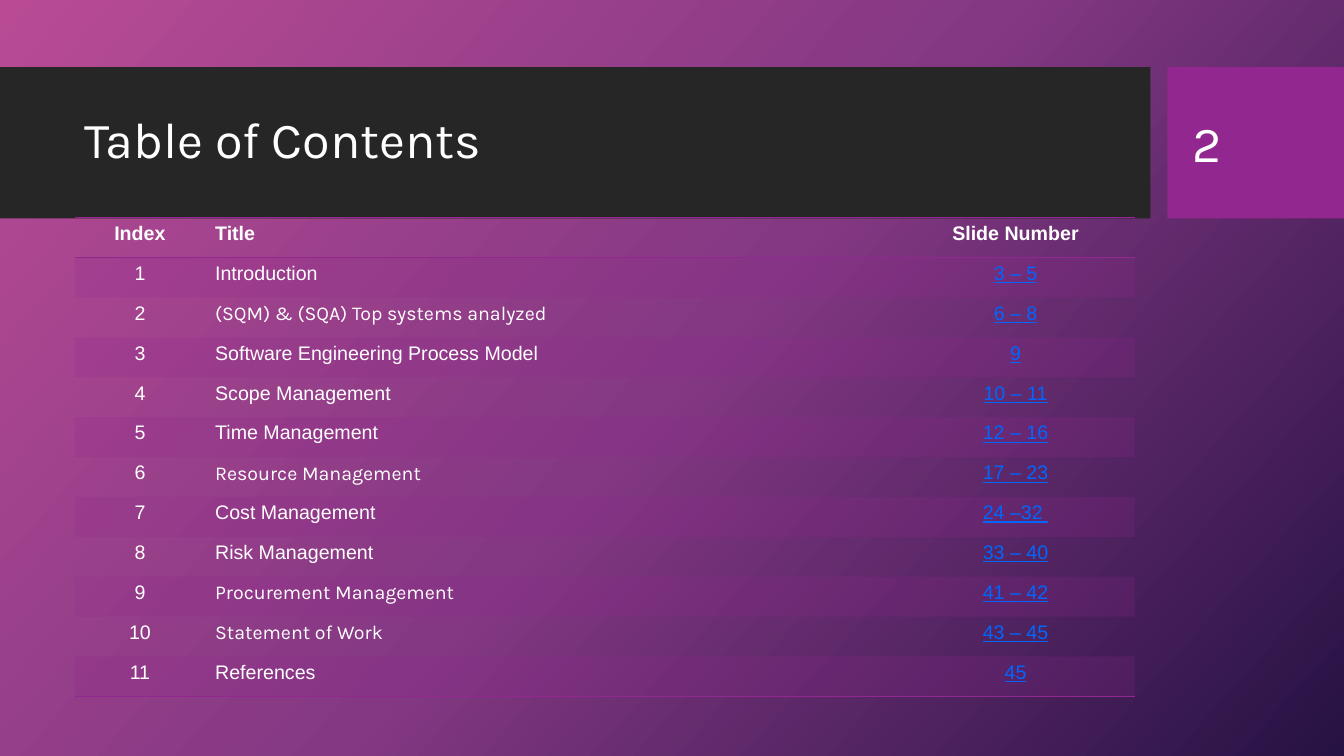
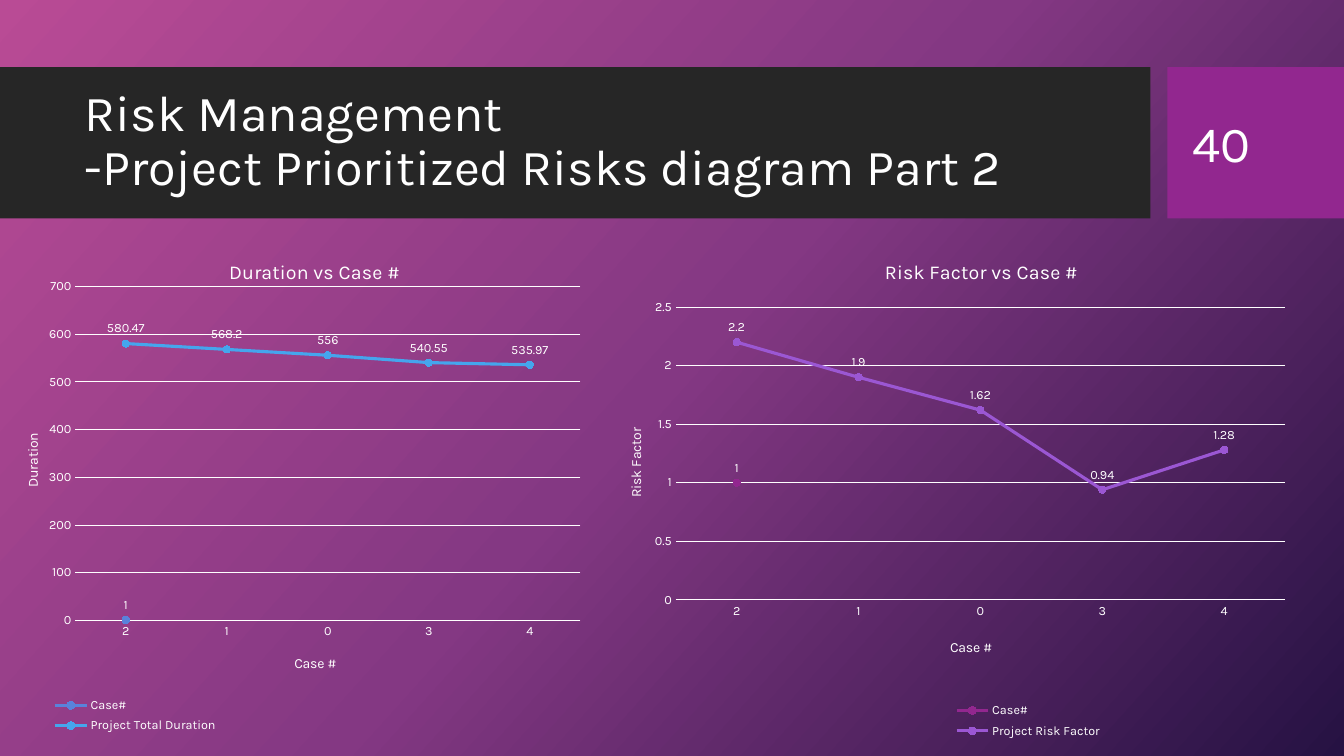
from copy import deepcopy

from lxml import etree
from pptx import Presentation
from pptx.chart import data
from pptx.dml import color
from pptx.enum import chart as ch, shapes, text
from pptx.oxml import ns
from pptx.util import Pt

WHITE, DARK, PLUM, BLUE = "FFFFFF", "262626", "92278F", "0066FF"
FONT, PLAIN = "Karla", "Arial"


def rgb(code):
    return color.RGBColor.from_string(code)


def place(node, **spots):
    old = node.find(ns.qn("c:layout"))
    if old is not None:
        node.remove(old)
    frame = etree.Element(ns.qn("c:layout"))
    hand = etree.SubElement(frame, ns.qn("c:manualLayout"))
    if "w" in spots and node.tag == ns.qn("c:plotArea"):
        etree.SubElement(hand, ns.qn("c:layoutTarget"), val="inner")
    for key in ("x", "y"):
        etree.SubElement(hand, ns.qn(f"c:{key}Mode"), val="edge")
    for key, val in spots.items():
        etree.SubElement(hand, ns.qn(f"c:{key}"), val=str(val))
    over = node.find(ns.qn("c:overlay"))
    (node[0] if over is None else over).addprevious(frame)


prs = Presentation()
prs.slide_width, prs.slide_height = Pt(960), Pt(540)

master = prs.slide_master
back = master.background.fill
back.gradient()
back.gradient_angle = 318
stops = master.element.find(".//" + ns.qn("a:gsLst"))
stops.insert(1, deepcopy(stops[0]))
shades = [(0, "B94B95"), (0.5, "843883"), (1, "261243")]
for stop, (pos, code) in zip(back.gradient_stops, shades):
    stop.position = pos
    stop.color.rgb = rgb(code)

pages = []
for title, number in [
    ("Table of Contents", "2"),
    ("Risk Management\v-Project Prioritized Risks diagram Part 2", "40"),
]:
    page = prs.slides.add_slide(prs.slide_layouts[6])
    pages.append(page)
    for left, width, code in [(0, 821.8, DARK), (833.8, 126.2, PLUM)]:
        band = page.shapes.add_shape(
            shapes.MSO_SHAPE.RECTANGLE, Pt(left), Pt(48), Pt(width), Pt(108))
        band.shadow.inherit = False
        band.fill.solid()
        band.fill.fore_color.rgb = rgb(code)
        band.line.fill.background()
    for words, left, width, space in [
        (title, 53.5, 756.5, 0.9),
        (number, 844.5, 91, 1),
    ]:
        box = page.shapes.add_textbox(Pt(left), Pt(59), Pt(width), Pt(85.5))
        frame = box.text_frame
        frame.word_wrap = True
        frame.vertical_anchor = text.MSO_ANCHOR.MIDDLE
        para = frame.paragraphs[0]
        para.text = words
        para.line_spacing = space
        para.font.size = Pt(36)
        para.font.name = FONT
        para.font.color.rgb = rgb(WHITE)

rows = [
    ("Index", "Title", "Slide Number"),
    ("1", "Introduction", "3 – 5"),
    ("2", "(SQM) & (SQA) Top systems analyzed", "6 – 8"),
    ("3", "Software Engineering Process Model", "9"),
    ("4", "Scope Management", "10 – 11"),
    ("5", "Time Management", "12 – 16"),
    ("6", "Resource Management", "17 – 23"),
    ("7", "Cost Management", "24 –32 "),
    ("8", "Risk Management", "33 – 40"),
    ("9", "Procurement Management", "41 – 42"),
    ("10", "Statement of Work", "43 – 45"),
    ("11", "References", "45"),
]
last = len(rows) - 1
table = pages[0].shapes.add_table(
    len(rows), 3, Pt(53.5), Pt(155.5), Pt(757), Pt(28.5 * len(rows))).table
table.first_row = table.horz_banding = False
style = table._tbl.tblPr.find(ns.qn("a:tableStyleId"))
style.text = "{2D5ABB26-0587-4C30-8999-92F81FD0307C}"
for col, width in zip(table.columns, (93, 494, 170)):
    col.width = Pt(width)
for r, row in enumerate(rows):
    table.rows[r].height = Pt(28.5)
    for c, words in enumerate(row):
        cell = table.cell(r, c)
        para = cell.text_frame.paragraphs[0]
        para.text = words
        link = r > 0 and c == 2
        para.font.size = Pt(14)
        para.font.bold = r == 0
        para.font.name = FONT if c == 1 and r in (2, 6, 9, 10) else PLAIN
        para.font.color.rgb = rgb(BLUE if link else WHITE)
        para.font.underline = link
        if c != 1:
            para.alignment = text.PP_ALIGN.CENTER
        props = cell._tc.get_or_add_tcPr()
        if r % 2:
            cell.fill.solid()
            cell.fill.fore_color.rgb = rgb(PLUM)
            tint = props.find(".//" + ns.qn("a:srgbClr"))
            etree.SubElement(tint, ns.qn("a:alpha"), val="20000")
        else:
            cell.fill.background()
        for side in {0: ("lnB", "lnT"), last: ("lnB",)}.get(r, ()):
            edge = etree.Element(ns.qn(f"a:{side}"), w="12700")
            solid = etree.SubElement(edge, ns.qn("a:solidFill"))
            etree.SubElement(solid, ns.qn("a:srgbClr"), val=PLUM)
            props.insert(0, edge)

charts = [
    dict(left=435.5, width=524.5, name="Risk Factor", top=2.5, step=0.5,
         series=[("Case#", PLUM, [1]),
                 ("Project Risk Factor", "9B57D3", [2.2, 1.9, 1.62, 0.94, 1.28])],
         plot=dict(x=0.09, y=0.14, w=0.83, h=0.57),
         head=dict(x=0.37, y=0.04), foot=dict(x=0.46, y=0.78),
         side=dict(x=0.02, y=0.37), key=dict(x=0.46, y=0.9, w=0.22, h=0.09)),
    dict(left=6.5, width=429.5, name="Duration", top=700, step=100,
         series=[("Case#", "5982DB", [1]),
                 ("Project Total Duration", "45A5ED",
                  [580.47, 568.2, 556, 540.55, 535.97])],
         plot=dict(x=0.11, y=0.1, w=0.84, h=0.65),
         head=dict(x=0.36, y=0.04), foot=dict(x=0.47, y=0.81),
         side=dict(x=0.02, y=0.38), key=dict(x=0.06, y=0.89, w=0.3, h=0.09)),
]
for item in charts:
    cats = ["2", "1", "0", "3", "4"]
    feed = data.CategoryChartData()
    feed.categories = cats
    for name, code, vals in item["series"]:
        feed.add_series(name, vals + [None] * (len(cats) - len(vals)))
    chart = pages[1].shapes.add_chart(
        ch.XL_CHART_TYPE.LINE_MARKERS, Pt(item["left"]), Pt(168),
        Pt(item["width"]), Pt(367), feed).chart
    chart.font.name = FONT
    chart.font.size = Pt(10)
    chart.font.color.rgb = rgb(WHITE)

    base, rise = chart.category_axis, chart.value_axis
    rise.minimum_scale, rise.maximum_scale = 0, item["top"]
    rise.major_unit = item["step"]
    rise.has_major_gridlines = True
    for line in (base.format.line, rise.major_gridlines.format.line):
        line.color.rgb = rgb(WHITE)
        line.width = Pt(0.75)
    rise.format.line.fill.background()
    for axis in (base, rise):
        axis.major_tick_mark = axis.minor_tick_mark = ch.XL_TICK_MARK.NONE

    chart.has_title = chart.has_legend = True
    for label, words, size, spot in [
        (chart.chart_title, item["name"] + " vs Case #", 14, "head"),
        (base.axis_title, "Case #", 10, "foot"),
        (rise.axis_title, item["name"], 10, "side"),
    ]:
        para = label.text_frame.paragraphs[0]
        para.text = words
        para.font.size = Pt(size)
        para.font.bold = False
        para.font.name = FONT
        para.font.color.rgb = rgb(WHITE)
        node = label._element
        if spot == "side":
            body = node.find(".//" + ns.qn("a:bodyPr"))
            body.set("rot", "-5400000")
            body.set("vert", "horz")
        place(node, **item[spot])

    legend = chart.legend
    legend.position = ch.XL_LEGEND_POSITION.RIGHT
    legend.include_in_layout = False
    place(legend._element, **item["key"])
    place(chart._chartSpace.chart.plotArea, **item["plot"])

    plot = chart.plots[0]
    plot.vary_by_categories = False
    plot.has_data_labels = True
    tags = plot.data_labels
    tags.show_value = True
    tags.position = ch.XL_LABEL_POSITION.ABOVE
    for part in (base.tick_labels, rise.tick_labels, legend, tags):
        part.font.size = Pt(9)
        part.font.name = FONT
        part.font.color.rgb = rgb(WHITE)
    for line, (name, code, vals) in zip(plot.series, item["series"]):
        line.smooth = False
        line.format.line.color.rgb = rgb(code)
        line.format.line.width = Pt(2.25)
        dot = line.marker
        dot.style = ch.XL_MARKER_STYLE.CIRCLE
        dot.size = 5
        dot.format.fill.solid()
        dot.format.fill.fore_color.rgb = rgb(code)
        dot.format.line.color.rgb = rgb(code)

prs.save("out.pptx")
